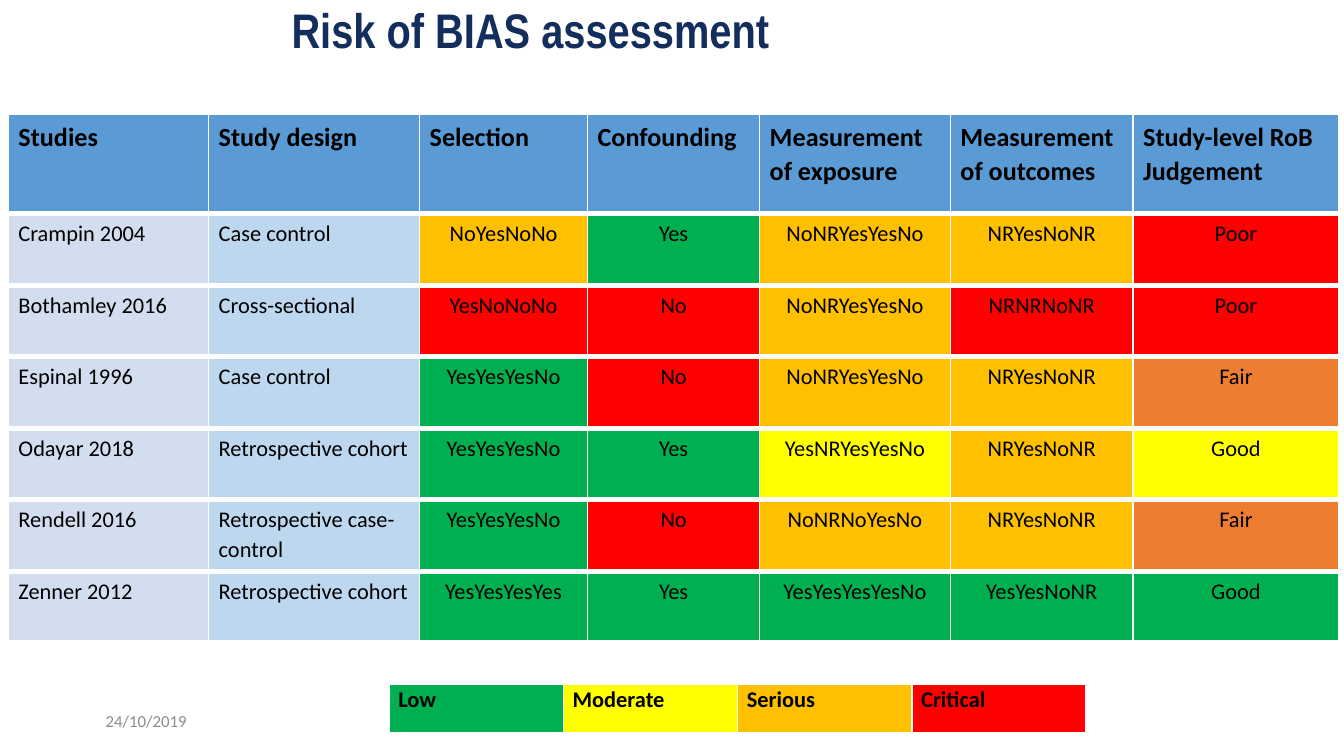
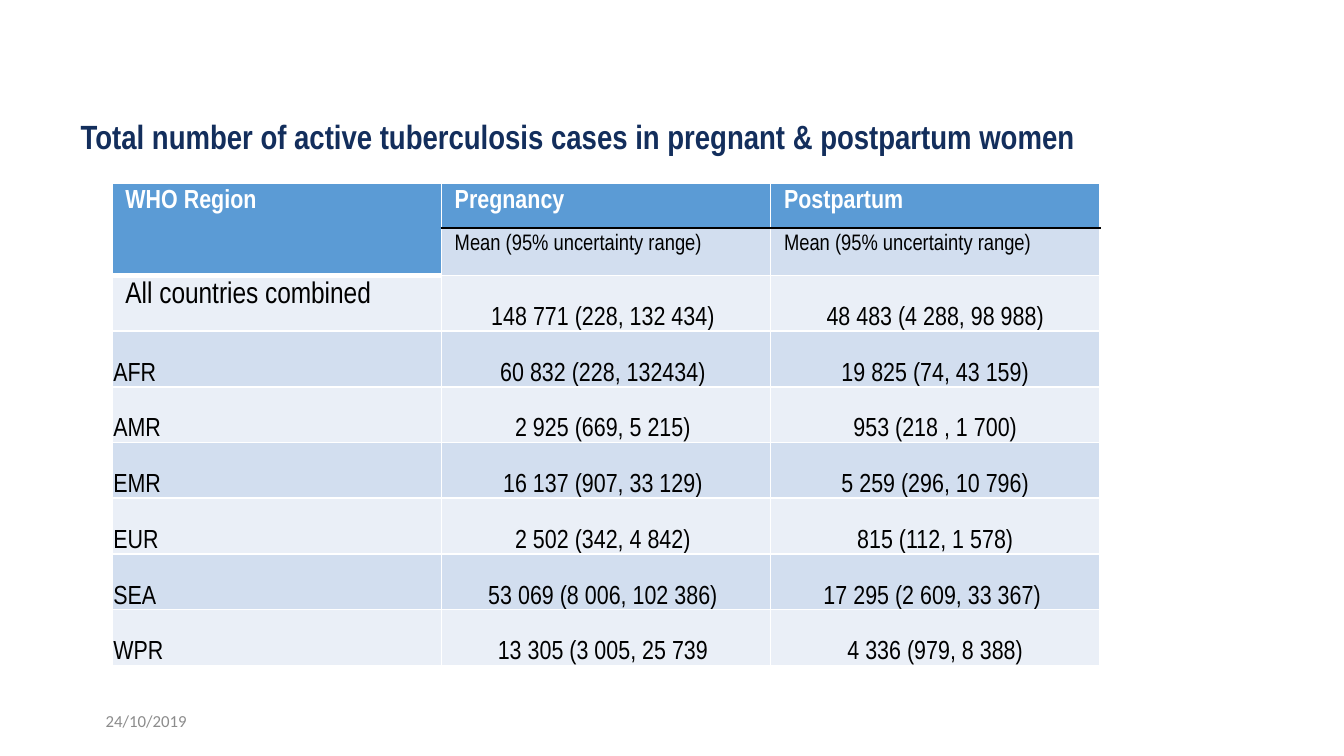
from dataclasses import dataclass

from lxml.etree import SubElement
from pptx import Presentation
from pptx.dml.color import RGBColor
from pptx.enum.text import MSO_ANCHOR, MSO_AUTO_SIZE, PP_ALIGN
from pptx.oxml.ns import qn
from pptx.util import Pt


@dataclass(frozen=True)
class Theme:
    heading_font: str = "Arial Narrow"
    body_font: str = "Calibri"
    navy: str = "132E5C"
    black: str = "000000"
    white: str = "FFFFFF"
    grey: str = "8C8C8C"
    header: str = "5B9BD5"
    design: str = "BDD7EE"
    band: str = "D2DEEF"
    light_band: str = "EAEFF7"
    title_size: float = 26
    subtitle_size: float = 18
    lead_size: float = 16
    header_size: float = 14
    body_size: float = 12
    date_size: float = 9


THEME = Theme()

# Risk levels: Low, Moderate, Serious, Critical, and Fair for the study judgement
RISK = {"L": "00B050", "M": "FFFF00", "S": "FFC000", "C": "FF0000", "F": "ED7D31"}
LEGEND = [("Low", "L"), ("Moderate", "M"), ("Serious", "S"), ("Critical", "C")]

BIAS_HEADERS = ["Studies", "Study design", "Selection", "Confounding",
                "Measurement of exposure", "Measurement of outcomes",
                "Study-level RoB Judgement"]
BIAS_WIDTHS = [107.3, 113, 90, 92.2, 102.2, 97.9, 110.2]
# Study, design, the five answers, and the risk level of each answer
STUDIES = [
    ("Crampin 2004", "Case control",
     ["NoYesNoNo", "Yes", "NoNRYesYesNo", "NRYesNoNR", "Poor"], "SLSSC"),
    ("Bothamley 2016", "Cross-sectional",
     ["YesNoNoNo", "No", "NoNRYesYesNo", "NRNRNoNR", "Poor"], "CCSCC"),
    ("Espinal 1996", "Case control",
     ["YesYesYesNo", "No", "NoNRYesYesNo", "NRYesNoNR", "Fair"], "LCSSF"),
    ("Odayar 2018", "Retrospective cohort",
     ["YesYesYesNo", "Yes", "YesNRYesYesNo", "NRYesNoNR", "Good"], "LLMSM"),
    ("Rendell 2016", "Retrospective case-control",
     ["YesYesYesNo", "No", "NoNRNoYesNo", "NRYesNoNR", "Fair"], "LCSSF"),
    ("Zenner 2012", "Retrospective cohort",
     ["YesYesYesYes", "Yes", "YesYesYesYesNo", "YesYesNoNR", "Good"], "LLLLL"),
]

CASE_HEADERS = ["WHO Region", "Pregnancy", "Postpartum"]
CASE_MEASURE = "Mean (95% uncertainty range)"
CASES = [
    ("All countries combined", "148 771 (228, 132 434) ", "48 483 (4 288, 98 988)"),
    ("AFR", "60 832 (228, 132434) ", "19 825 (74, 43 159)"),
    ("AMR", "2 925 (669, 5 215) ", "953 (218 , 1 700)"),
    ("EMR", "16 137 (907, 33 129) ", "5 259 (296, 10 796)"),
    ("EUR", "2 502 (342, 4 842) ", "815 (112, 1 578)"),
    ("SEA", "53 069 (8 006, 102 386) ", "17 295 (2 609, 33 367) "),
    ("WPR", "13 305 (3 005, 25 739 ", "4 336 (979, 8 388)"),
]

# Cell insets: left, top, right, bottom
BIAS_INSETS = (5.4, 2.7, 5.4, 2.7)
LEGEND_INSETS = (5, 0, 5, 0)
CASE_INSETS = (7.2, 3.6, 7.2, 3.6)
TIGHT_INSETS = (0.7, 0.7, 0.7, 0)


def style_paragraph(para, font, size, color, bold=False, align=PP_ALIGN.LEFT):
    para.alignment = align
    para.font.name = font
    para.font.size = Pt(size)
    para.font.bold = bold
    para.font.color.rgb = RGBColor.from_string(color)


def set_insets(frame, insets):
    (frame.margin_left, frame.margin_top,
     frame.margin_right, frame.margin_bottom) = map(Pt, insets)


def add_page(deck, title, left, top, size):
    """Add a page with its title and the shared date."""
    page = deck.slides.add_slide(deck.slide_layouts[5])
    box = page.shapes.title
    box.left, box.top, box.width, box.height = Pt(left), Pt(top), Pt(546), Pt(38)
    frame = box.text_frame
    frame.text = title
    frame.word_wrap = True
    frame.auto_size = MSO_AUTO_SIZE.NONE
    frame.vertical_anchor = MSO_ANCHOR.TOP
    set_insets(frame, (0, 0, 0, 0))
    style_paragraph(frame.paragraphs[0], THEME.heading_font, size, THEME.navy, True)

    date = page.shapes.add_textbox(Pt(49.5), Pt(375.3), Pt(162), Pt(21.6)).text_frame
    date.text = "24/10/2019"
    date.word_wrap = True
    date.vertical_anchor = MSO_ANCHOR.MIDDLE
    style_paragraph(date.paragraphs[0], THEME.body_font, THEME.date_size, THEME.grey)
    return page


def add_grid(page, left, top, widths, heights):
    """Add an unbanded table with the given column widths and row heights."""
    table = page.shapes.add_table(
        len(heights), len(widths), Pt(left), Pt(top),
        Pt(sum(widths)), Pt(sum(heights))).table
    table.first_row = table.horz_banding = False
    for column, width in zip(table.columns, widths):
        column.width = Pt(width)
    for row, height in zip(table.rows, heights):
        row.height = Pt(height)
    return table


def set_borders(cell, top=(THEME.white, 1), bottom=(THEME.white, 1)):
    side = (THEME.white, 1)
    properties = cell._tc.get_or_add_tcPr()
    edges = {"lnL": side, "lnR": side, "lnT": top, "lnB": bottom}
    for position, (tag, (color, width)) in enumerate(edges.items()):
        line = SubElement(properties, qn(f"a:{tag}"), w=str(Pt(width)))
        fill = SubElement(line, qn("a:solidFill"))
        SubElement(fill, qn("a:srgbClr"), val=color)
        properties.insert(position, line)


def fill_cell(cell, text, fill, font, size, insets, color=THEME.black, bold=False,
              align=PP_ALIGN.LEFT, anchor=MSO_ANCHOR.TOP, spacing=None, after=0):
    cell.text = text
    cell.fill.solid()
    cell.fill.fore_color.rgb = RGBColor.from_string(fill)
    cell.vertical_anchor = anchor
    set_insets(cell, insets)
    para = cell.text_frame.paragraphs[0]
    para.line_spacing = spacing
    para.space_after = Pt(after)
    style_paragraph(para, font, size, color, bold, align)


def add_bias_table(page):
    table = add_grid(page, 4.5, 61.3, BIAS_WIDTHS, [53.2] + [38.3] * len(STUDIES))
    thick = (THEME.white, 3)

    for column, header in enumerate(BIAS_HEADERS):
        cell = table.cell(0, column)
        fill_cell(cell, header, THEME.header, THEME.body_font, THEME.header_size,
                  BIAS_INSETS, bold=True, spacing=1.07, after=8)
        set_borders(cell, bottom=thick)

    for row, (study, design, answers, levels) in enumerate(STUDIES, start=1):
        fills = [THEME.band, THEME.design] + [RISK[level] for level in levels]
        for column, (text, fill) in enumerate(zip([study, design] + answers, fills)):
            cell = table.cell(row, column)
            fill_cell(cell, text, fill, THEME.body_font, THEME.body_size, BIAS_INSETS,
                      align=PP_ALIGN.CENTER if column > 1 else PP_ALIGN.LEFT,
                      spacing=1.07, after=0 if column else 8)
            set_borders(cell, top=thick, bottom=thick)


def add_legend(page):
    table = add_grid(page, 208.4, 366.5, [93.4] * len(LEGEND), [27.2])
    for column, (label, level) in enumerate(LEGEND):
        cell = table.cell(0, column)
        fill_cell(cell, label, RISK[level], THEME.body_font, THEME.body_size,
                  LEGEND_INSETS, bold=True, spacing=1.07)
        set_borders(cell, bottom=(THEME.white, 3))


def add_case_table(page):
    table = add_grid(page, 60, 98, [176.4] * 3, [13.5, 25.5] + [29.85] * len(CASES))
    rule = (THEME.black, 1)

    # Two header rows, the first column merged
    table.cell(0, 0).merge(table.cell(1, 0))
    for column, header in enumerate(CASE_HEADERS):
        cell, below = table.cell(0, column), table.cell(1, column)
        fill_cell(cell, header, THEME.header, THEME.heading_font, THEME.header_size,
                  CASE_INSETS, color=THEME.white, bold=True)
        if column:
            fill_cell(below, CASE_MEASURE, THEME.band, THEME.heading_font,
                      THEME.body_size, CASE_INSETS)
            set_borders(cell, bottom=rule)
            set_borders(below, top=rule)
        else:
            set_borders(cell, bottom=(THEME.white, 3))
            set_borders(below, bottom=(THEME.white, 3))

    # Regions, with the total as a larger lead row
    for row, values in enumerate(CASES):
        fill = THEME.band if row % 2 else THEME.light_band
        for column, text in enumerate(values):
            cell = table.cell(row + 2, column)
            lead = row == 0 and column == 0
            fill_cell(cell, text, fill, THEME.heading_font,
                      THEME.lead_size if lead else THEME.header_size,
                      CASE_INSETS if lead else TIGHT_INSETS,
                      align=PP_ALIGN.CENTER if column else PP_ALIGN.LEFT,
                      anchor=MSO_ANCHOR.TOP if lead else MSO_ANCHOR.BOTTOM)
            set_borders(cell)


def main():
    deck = Presentation()
    deck.slide_width, deck.slide_height = Pt(720), Pt(405)

    # Risk of bias
    page = add_page(deck, "Risk of BIAS assessment", 156.2, 0, THEME.title_size)
    add_bias_table(page)
    add_legend(page)

    # Case numbers by region
    page = add_page(
        deck, "Total number of active tuberculosis cases in pregnant & postpartum women",
        43.2, 62, THEME.subtitle_size)
    add_case_table(page)

    deck.save("out.pptx")


if __name__ == "__main__":
    main()
